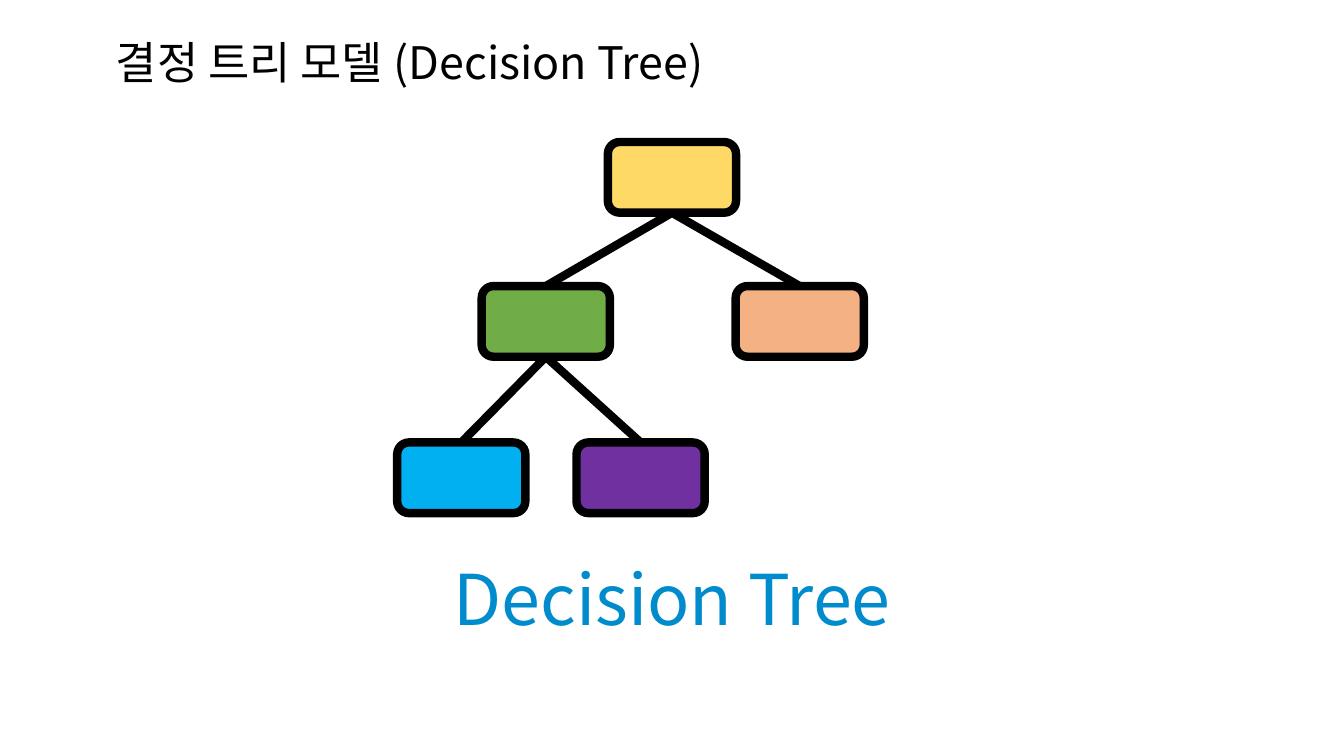
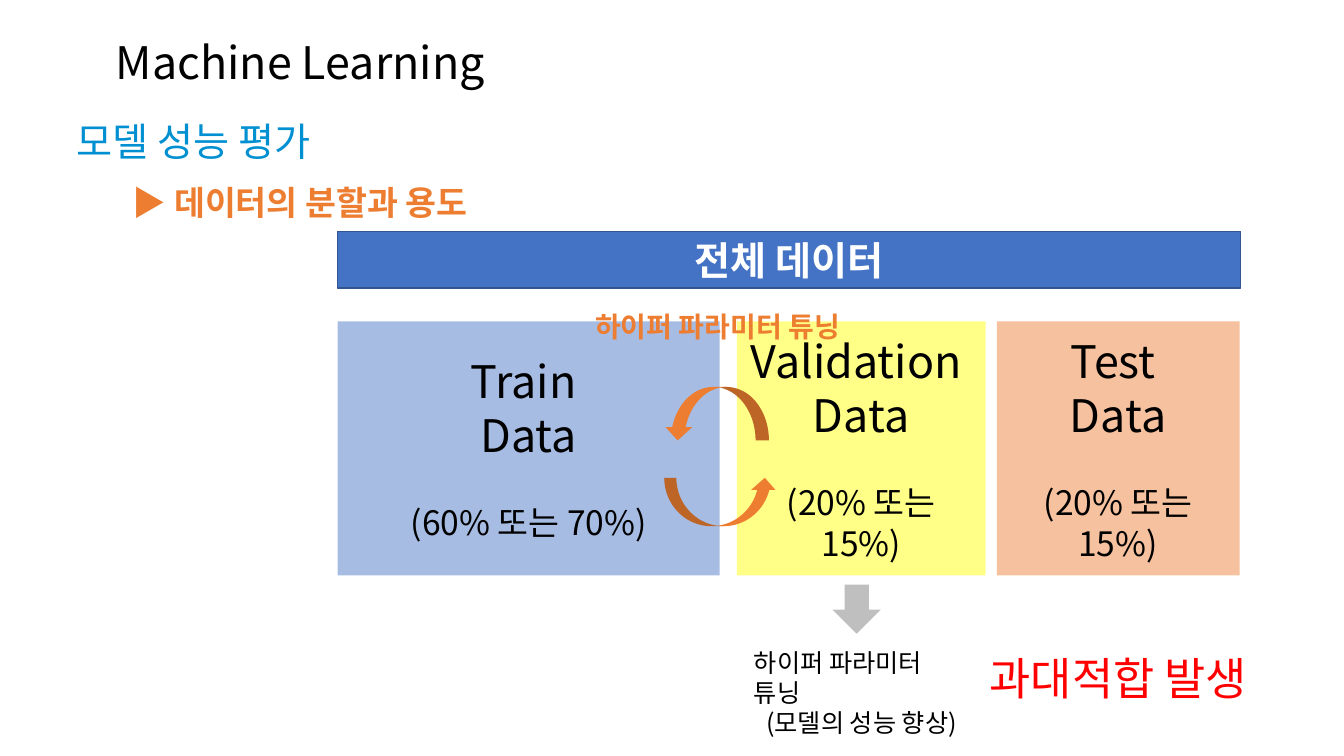
"""Build two slides: a decision tree diagram and the split of data for model evaluation."""
from lxml import etree
from pptx import Presentation
from pptx import util as u
from pptx.dml.color import RGBColor
from pptx.enum import shapes, text
from pptx.oxml.ns import qn

FONT = "Noto Sans CJK KR"
BLACK, WHITE, RED = "000000", "FFFFFF", "FF0000"
BLUE, ORANGE, YELLOW, GREY = "4472C4", "ED7D31", "FFFF00", "BFBFBF"
CENTER, LEFT = text.PP_ALIGN.CENTER, text.PP_ALIGN.LEFT
TOP, MIDDLE = text.MSO_ANCHOR.TOP, text.MSO_ANCHOR.MIDDLE
KIND = shapes.MSO_SHAPE

NODE_SIZE = (3.23, 1.78)
NODES = {
    "root": (15.32, 3.58, "FFD966"),
    "right": (18.54, 7.21, "F4B183"),
    "left": (12.14, 7.21, "70AD47"),
    "left leaf": (10.01, 11.15, "00B0F0"),
    "right leaf": (14.53, 11.15, "7030A0"),
}
BRANCHES = [("root", "left"), ("root", "right"),
            ("left", "left leaf"), ("left", "right leaf")]

SPLIT_TOP, SPLIT_HEIGHT = 8.1, 6.4
SPLITS = [
    ("Train ", "(60% 또는 70%)", 8.51, 9.63, BLUE),
    ("Test ", "(20% 또는 15%)", 25.12, 6.12, ORANGE),
    ("Validation ", "(20% 또는 15%)", 18.57, 6.27, YELLOW),
]
ARROWS = [
    (KIND.CURVED_UP_ARROW, (16.74, 12.04, 2.84, 1.22), ORANGE, False),
    (KIND.CURVED_DOWN_ARROW, (16.74, 9.75, 2.64, 1.35), ORANGE, True),
    (KIND.DOWN_ARROW, (20.98, 14.73, 1.22, 1.24), GREY, False),
]
LABELS = [
    ("하이퍼 파라미터 튜닝", (12.93, 7.67, 10.31, 1.12),
     dict(size=20, color=ORANGE, bold=True, align=CENTER)),
    ("과대적합 발생", (24.23, 16.26, 7.92, 1.63), dict(size=32, color=RED, align=CENTER)),
    ("모델 성능 평가", (1.68, 2.72, 29.21, 1.83),
     dict(size=28, color="0090D1", anchor=MIDDLE, spacing=0.9)),
    ("▶ 데이터의 분할과 용도", (3.1, 4.45, 15.7, 1.3),
     dict(size=24, color=ORANGE, bold=True)),
]


def rgb(value):
    """Turn a hex string into a colour."""
    return RGBColor.from_string(value)


def cm(values):
    """Turn numbers into lengths in centimetres."""
    return [u.Cm(value) for value in values]


def add_para(box, content, size=18, color=BLACK, bold=False, align=LEFT,
             spacing=None, before=0, first=False):
    """Write one formatted paragraph into a box."""
    frame = box.text_frame
    para = frame.paragraphs[0] if first else frame.add_paragraph()
    para.alignment = align
    para.space_before = u.Pt(before)
    if spacing:
        para.line_spacing = spacing
    span = para.add_run()
    span.text = content
    span.font.size, span.font.bold = u.Pt(size), bold
    span.font.color.rgb = rgb(color)
    span.font.name = FONT
    etree.SubElement(span.font._element, qn("a:ea"), typeface=FONT)


def add_label(page, content, place, anchor=TOP, **style):
    """Add a wrapping text box with one paragraph."""
    box = page.shapes.add_textbox(*cm(place))
    box.text_frame.word_wrap = True
    box.text_frame.vertical_anchor = anchor
    add_para(box, content, first=True, **style)
    return box


def add_title(page, content, width):
    """Add the title that every slide carries."""
    add_label(page, content, (2.67, 0.74, width, 1.63), size=32)


def add_block(page, kind, place, fill, line=None, weight=1, alpha=None):
    """Add a filled preset shape."""
    block = page.shapes.add_shape(kind, *cm(place))
    block.shadow.inherit = False
    block.fill.solid()
    block.fill.fore_color.rgb = rgb(fill)
    if alpha:
        color = block._element.spPr.find(qn("a:solidFill"))[0]
        etree.SubElement(color, qn("a:alpha"), val=str(alpha * 1000))
    if line:
        block.line.color.rgb = rgb(line)
        block.line.width = u.Pt(weight)
    else:
        block.line.fill.background()
    block.text_frame.word_wrap = True
    block.text_frame.vertical_anchor = MIDDLE
    return block


def add_branch(page, parent, child):
    """Join the bottom of a node to the top of its child."""
    branch = page.shapes.add_connector(shapes.MSO_CONNECTOR.STRAIGHT, 0, 0, 0, 0)
    branch.begin_connect(parent, 2)
    branch.end_connect(child, 0)
    branch.line.color.rgb = rgb(BLACK)
    branch.line.width = u.Pt(6)
    etree.SubElement(branch._element.spPr, qn("a:effectLst"))


def build_tree(page):
    """Draw the decision tree slide."""
    add_label(page, "Decision Tree", (7.49, 13.87, 18.9, 2.41),
              size=50, color="008BCC", align=CENTER)
    nodes = {name: add_block(page, KIND.ROUNDED_RECTANGLE, (left, top, *NODE_SIZE),
                             fill, line=BLACK, weight=6)
             for name, (left, top, fill) in NODES.items()}
    for parent, child in BRANCHES:
        add_branch(page, nodes[parent], nodes[child])
    add_title(page, "결정 트리 모델 (Decision Tree)", 15.42)


def build_split(page):
    """Draw the data split slide."""
    for name, share, left, width, fill in SPLITS:
        block = add_block(page, KIND.RECTANGLE, (left, SPLIT_TOP, width, SPLIT_HEIGHT),
                          fill, alpha=47)
        add_para(block, name, size=32, align=CENTER, first=True)
        add_para(block, "Data", size=32, align=CENTER)
        add_para(block, share, size=24, align=CENTER, before=29)
    note = add_label(page, "하이퍼 파라미터 튜닝", (18.75, 16.18, 5.92, 1.8), size=18)
    add_para(note, "(모델의 성능 향상)", size=18, align=CENTER)
    whole = add_block(page, KIND.RECTANGLE, (8.51, 5.84, 22.76, 1.42), BLUE, line="325491")
    add_para(whole, "전체 데이터", size=28, color=WHITE, bold=True, align=CENTER, first=True)
    for kind, place, fill, flipped in ARROWS:
        arrow = add_block(page, kind, place, fill)
        if flipped:
            arrow._element.spPr.xfrm.set("flipH", "1")
    for content, place, style in LABELS:
        add_label(page, content, place, **style)
    add_title(page, "Machine Learning", 10.21)


def main():
    """Build and save the deck."""
    deck = Presentation()
    deck.slide_width, deck.slide_height = cm((33.87, 19.05))
    for build in (build_tree, build_split):
        build(deck.slides.add_slide(deck.slide_layouts[6]))
    deck.save("out.pptx")


if __name__ == "__main__":
    main()
